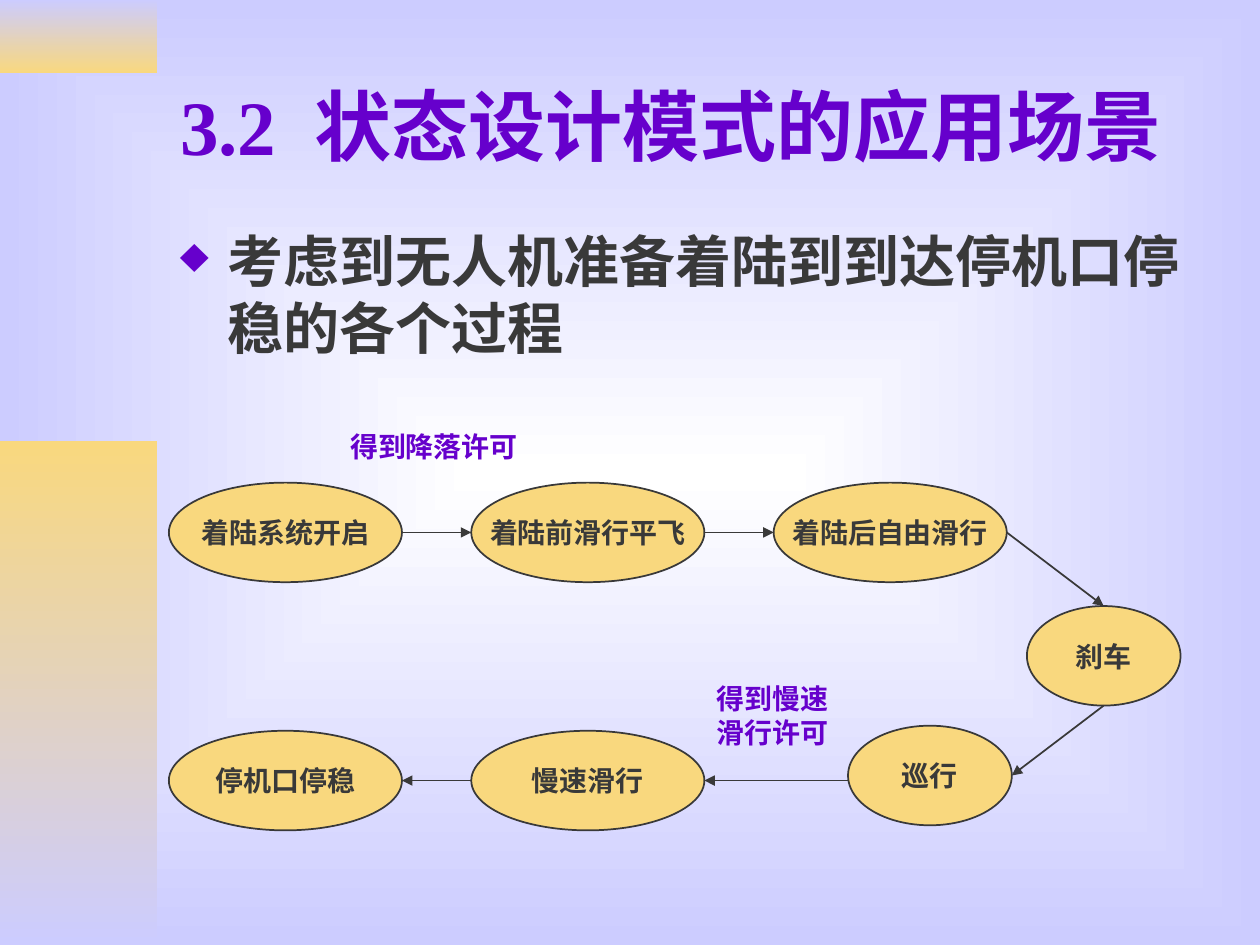
from typing import NamedTuple

from lxml.etree import SubElement
from pptx import Presentation
from pptx.dml.color import RGBColor as Rgb
from pptx.enum.shapes import MSO_CONNECTOR as Connector, MSO_SHAPE as Shape
from pptx.enum.text import MSO_ANCHOR as Anchor, PP_ALIGN as Align
from pptx.oxml.ns import qn
from pptx.util import Pt

COLOURS = {"purple": "6600CC", "ink": "393939", "gold": "F9D87E",
           "lavender": "CCCCFF", "white": "FFFFFF"}
FONT = {"name": "Times New Roman", "bold": True}
ROW_TOP, ROW_BOTTOM, STATE_HEIGHT = 275.8, 417.6, 56.9
COLUMNS = [96.5 + 172.8 * index for index in range(3)]


class Area(NamedTuple):
    left: float
    top: float
    width: float
    height: float

    @property
    def points(self) -> list:
        return [Pt(length) for length in self]


class State(NamedTuple):
    text: str
    left: float
    top: float
    width: float = 133.2

    @property
    def sides(self) -> dict:
        right, bottom = self.left + self.width, self.top + STATE_HEIGHT
        middle, centre = self.top + STATE_HEIGHT / 2, self.left + self.width / 2
        return {"left": (self.left, middle), "right": (right, middle),
                "top": (centre, self.top), "bottom": (centre, bottom)}


class Label(NamedTuple):
    text: str
    area: Area
    size: float
    colour: str = "purple"
    anchor: Anchor = Anchor.TOP


def colour(name: str) -> Rgb:
    return Rgb.from_string(COLOURS[name])


def apply(target, formats: dict) -> None:
    for name, value in formats.items():
        setattr(target, name, value)


def write(box, text: str, size: float, ink: str, formats: dict):
    apply(box.text_frame, formats)
    para = box.text_frame.paragraphs[0]
    span = para.add_run()
    span.text = text
    style(span, size, ink)
    return para


def style(span, size: float, ink: str) -> None:
    apply(span.font, {**FONT, "size": Pt(size)})
    span.font.color.rgb = colour(ink)


def set_gradient(fill, names: tuple) -> None:
    fill.gradient()
    for stop, name in zip(fill.gradient_stops, names):
        stop.color.rgb = colour(name)


def paint_background(page) -> None:
    set_gradient(page.background.fill, ("white", "lavender"))
    gradient = page.element.find(".//" + qn("a:gradFill"))
    gradient.remove(gradient.find(qn("a:lin")))
    path = SubElement(gradient, qn("a:path"), {"path": "rect"})
    SubElement(path, qn("a:fillToRect"), dict.fromkeys("ltrb", "50000"))


def add_band(page, area: Area, names: tuple) -> None:
    band = page.shapes.add_shape(Shape.RECTANGLE, *area.points)
    band.shadow.inherit = False
    set_gradient(band.fill, names)
    band.fill.gradient_angle = 270
    band.line.fill.background()


def add_label(page, label: Label):
    box = page.shapes.add_textbox(*label.area.points)
    formats = {"word_wrap": True, "vertical_anchor": label.anchor}
    return write(box, label.text, label.size, label.colour, formats)


def add_bullet(para) -> None:
    properties = para._p.get_or_add_pPr()
    apply_xml = {"marL": str(Pt(27)), "indent": str(-Pt(27))}
    properties.attrib.update(apply_xml)
    tint = SubElement(properties, qn("a:buClr"))
    SubElement(tint, qn("a:srgbClr"), val=COLOURS["purple"])
    SubElement(properties, qn("a:buSzPct"), val="90000")
    SubElement(properties, qn("a:buChar"), char="♦")


def add_state(page, state: State) -> None:
    area = Area(state.left, state.top, state.width, STATE_HEIGHT)
    oval = page.shapes.add_shape(Shape.OVAL, *area.points)
    oval.shadow.inherit = False
    oval.fill.solid()
    oval.fill.fore_color.rgb = colour("gold")
    oval.line.color.rgb = colour("ink")
    oval.line.width = Pt(1)
    formats = {"word_wrap": False, "vertical_anchor": Anchor.MIDDLE}
    write(oval, state.text, 16, "ink", formats).alignment = Align.CENTER


def add_arrow(page, start: tuple, end: tuple) -> None:
    ends = [Pt(length) for length in start + end]
    arrow = page.shapes.add_connector(Connector.STRAIGHT, *ends)
    arrow.line.color.rgb = colour("ink")
    arrow.line.width = Pt(1)
    SubElement(arrow.line._get_or_add_ln(), qn("a:tailEnd"), type="triangle")
    SubElement(arrow.element.spPr, qn("a:effectLst"))


def add_title(page) -> None:
    title = Label("3.2", Area(95.8, 23.8, 612, 95), 44, anchor=Anchor.MIDDLE)
    para = add_label(page, title)
    for text, spacing in ((" ", 11), ("状态设计模式的应用场景", 0)):
        span = para.add_run()
        span.text = text
        style(span, title.size, title.colour)
        span.font._element.set("spc", str(spacing * 100))


def add_flow(page) -> None:
    opened = State("着陆系统开启", COLUMNS[0], ROW_TOP)
    gliding = State("着陆前滑行平飞", COLUMNS[1], ROW_TOP)
    rolling = State("着陆后自由滑行", COLUMNS[2], ROW_TOP)
    braking = State("刹车", 586.8, 346.3, 87.8)
    cruising = State("巡行", 484.6, 414.7, 93.6)
    taxiing = State("慢速滑行", COLUMNS[1], ROW_BOTTOM)
    parked = State("停机口停稳", COLUMNS[0], ROW_BOTTOM)
    for state in (opened, gliding, rolling, taxiing, cruising, parked, braking):
        add_state(page, state)
    taxi_entry = taxiing.sides["right"]
    for start, end in (
        (opened.sides["right"], gliding.sides["left"]),
        (gliding.sides["right"], rolling.sides["left"]),
        (rolling.sides["right"], braking.sides["top"]),
        (braking.sides["bottom"], cruising.sides["right"]),
        ((cruising.left, taxi_entry[1]), taxi_entry),
        (taxiing.sides["left"], parked.sides["right"]),
    ):
        add_arrow(page, start, end)
    add_label(page, Label("得到降落许可", Area(193, 241.9, 118.8, 26.6), 16))
    add_label(page, Label("得到慢速滑行许可", Area(402.5, 385.9, 90.7, 46), 16))


def main() -> None:
    """Build the landing state flow slide."""
    deck = Presentation()
    apply(deck, {"slide_width": Pt(720), "slide_height": Pt(540)})
    page = deck.slides.add_slide(deck.slide_layouts[6])
    paint_background(page)
    add_band(page, Area(0, 0, 90, 42), ("lavender", "gold"))
    add_band(page, Area(0, 252, 90, 288), ("gold", "lavender"))
    add_title(page)
    add_bullet(add_label(page, Label("考虑到无人机准备着陆到到达停机口停稳的各个过程",
                                     Area(95.8, 126, 612, 113), 32, "ink")))
    add_flow(page)
    deck.save("out.pptx")


if __name__ == "__main__":
    main()
